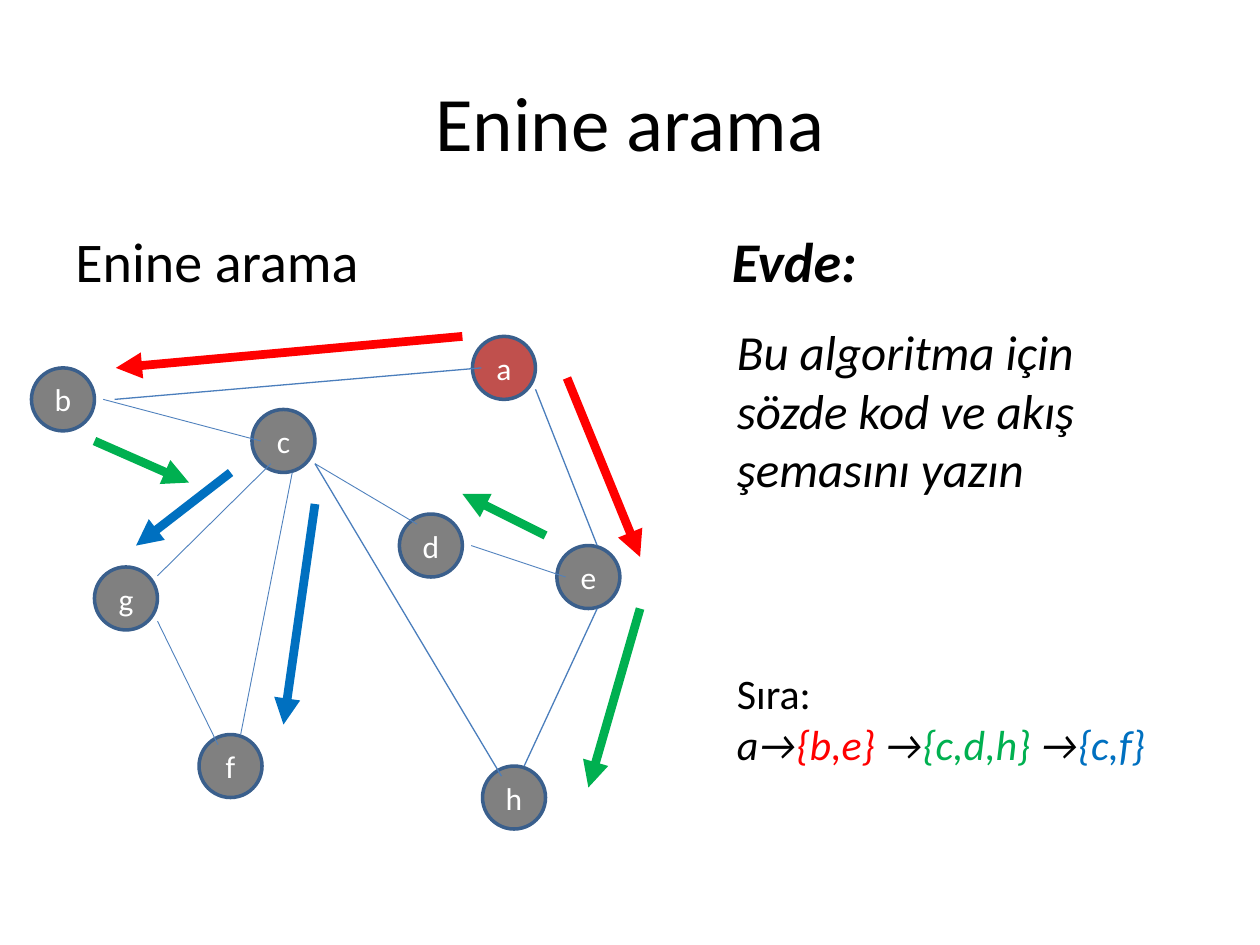
"""Build the breadth-first search slide with its graph, visiting arrows and homework."""
from lxml.etree import SubElement
from pptx import Presentation
from pptx.dml.color import RGBColor
from pptx.enum.shapes import MSO_CONNECTOR, MSO_SHAPE
from pptx.enum.text import MSO_ANCHOR, PP_ALIGN
from pptx.oxml.ns import qn
from pptx.util import Inches, Pt

STRAIGHT = MSO_CONNECTOR.STRAIGHT
CIRCLE = MSO_SHAPE.FLOWCHART_CONNECTOR
MIDDLE = MSO_ANCHOR.MIDDLE
CENTER = PP_ALIGN.CENTER

FONT = "Calibri"
COLORS = {
    "black": "000000", "white": "FFFFFF", "gray": "808080", "start": "C0504D",
    "outline": "3A5F8C", "thin": "4F81BD", "edge": "4B7EBC",
    "red": "FF0000", "green": "00B050", "blue": "0070C0",
}
TITLE = "Enine arama"
NODE_SIZE = 0.5
NODES = {
    "b": (0.25, 2.92), "c": (2, 3.25), "g": (0.75, 4.5), "d": (3.17, 4.08),
    "a": (3.75, 2.67), "e": (4.42, 4.33), "f": (1.58, 5.83), "h": (3.83, 6.08),
}
THIN_EDGES = [
    (0.82, 3.17, 2.07, 3.5), (2.5, 3.68, 3.31, 4.16), (2.15, 3.68, 1.25, 4.57),
    (1.91, 5.83, 2.32, 3.75), (1.25, 4.93, 1.73, 5.91), (3.74, 4.33, 4.49, 4.58),
]
EDGES = [
    (4.74, 4.33, 4.25, 3.09), (4.74, 4.83, 4.16, 6.08),
    (3.82, 2.92, 0.91, 3.17), (3.98, 6.16, 2.5, 3.68),
]
ARROWS = {
    "red": [(3.67, 2.67, 0.92, 2.92), (4.5, 3, 5.08, 4.42)],
    "green": [(0.75, 3.5, 1.5, 3.83), (5.08, 4.83, 4.67, 6.25), (4.33, 4.25, 3.67, 3.92)],
    "blue": [(1.83, 3.75, 1.08, 4.33), (2.5, 4, 2.25, 5.75)],
}
TASK = "Bu algoritma için sözde kod ve akış şemasını yazın"
ORDER = [
    ("a→", "black"), ("{b,e}", "red"), (" →", "black"),
    ("{c,d,h} ", "green"), ("→", "black"), ("{c,f}", "blue"),
]


def rgb(name):
    return RGBColor.from_string(COLORS[name])


def place(shape, left, top, width, height):
    shape.left, shape.top = Inches(left), Inches(top)
    shape.width, shape.height = Inches(width), Inches(height)


def add_span(para, text, size, color="black", bold=False, italic=False):
    span = para.add_run()
    span.text = text
    font = span.font
    font.name, font.size, font.bold, font.italic = FONT, Pt(size), bold, italic
    font.color.rgb = rgb(color)


def add_box(slide, left, top, width, height, wrap=True):
    box = slide.shapes.add_textbox(*map(Inches, (left, top, width, height)))
    box.text_frame.word_wrap = wrap
    return box.text_frame.paragraphs[0]


def add_node(slide, label, left, top):
    node = slide.shapes.add_shape(CIRCLE, *map(Inches, (left, top, NODE_SIZE, NODE_SIZE)))
    node.shadow.inherit = False
    node.fill.solid()
    node.fill.fore_color.rgb = rgb("start" if label == "a" else "gray")
    node.line.color.rgb = rgb("outline")
    node.line.width = Pt(2)
    node.text_frame.vertical_anchor = MIDDLE
    para = node.text_frame.paragraphs[0]
    para.alignment = CENTER
    add_span(para, label, 18, "white")


def add_line(slide, ends, color, width, arrow=False):
    line = slide.shapes.add_connector(STRAIGHT, *map(Inches, ends))
    line.line.color.rgb = rgb(color)
    line.line.width = Pt(width)
    properties = line._element.spPr
    if arrow:
        SubElement(properties.find(qn("a:ln")), qn("a:tailEnd"), type="triangle")
    SubElement(properties, qn("a:effectLst"))


def main():
    deck = Presentation()
    deck.slide_width, deck.slide_height = Inches(10), Inches(7.5)
    slide = deck.slides.add_slide(deck.slide_layouts[5])

    title = slide.shapes.title
    place(title, 0.5, 0.33, 9, 1.25)
    title.text_frame.vertical_anchor = MIDDLE
    para = title.text_frame.paragraphs[0]
    para.alignment = CENTER
    add_span(para, TITLE, 44)

    add_span(add_box(slide, 0.5, 1.75, 9, 4.95), TITLE, 32)

    for label, corner in NODES.items():
        add_node(slide, label, *corner)
    for ends in THIN_EDGES:
        add_line(slide, ends, "thin", 0.5)
    for ends in EDGES:
        add_line(slide, ends, "edge", 0.75)
    for color, arrows in ARROWS.items():
        for ends in arrows:
            add_line(slide, ends, color, 5, arrow=True)

    add_span(add_box(slide, 5.71, 1.75, 1.2, 0.64, wrap=False), "Evde:", 32, bold=True, italic=True)
    add_span(add_box(slide, 5.75, 2.5, 3.75, 1.51), TASK, 28, italic=True)
    para = add_box(slide, 5.75, 5.25, 3.47, 0.91, wrap=False)
    add_span(para, "Sıra:", 24)
    para.add_line_break()
    for text, color in ORDER:
        add_span(para, text, 24, color, italic=True)

    deck.save("out.pptx")


if __name__ == "__main__":
    main()
